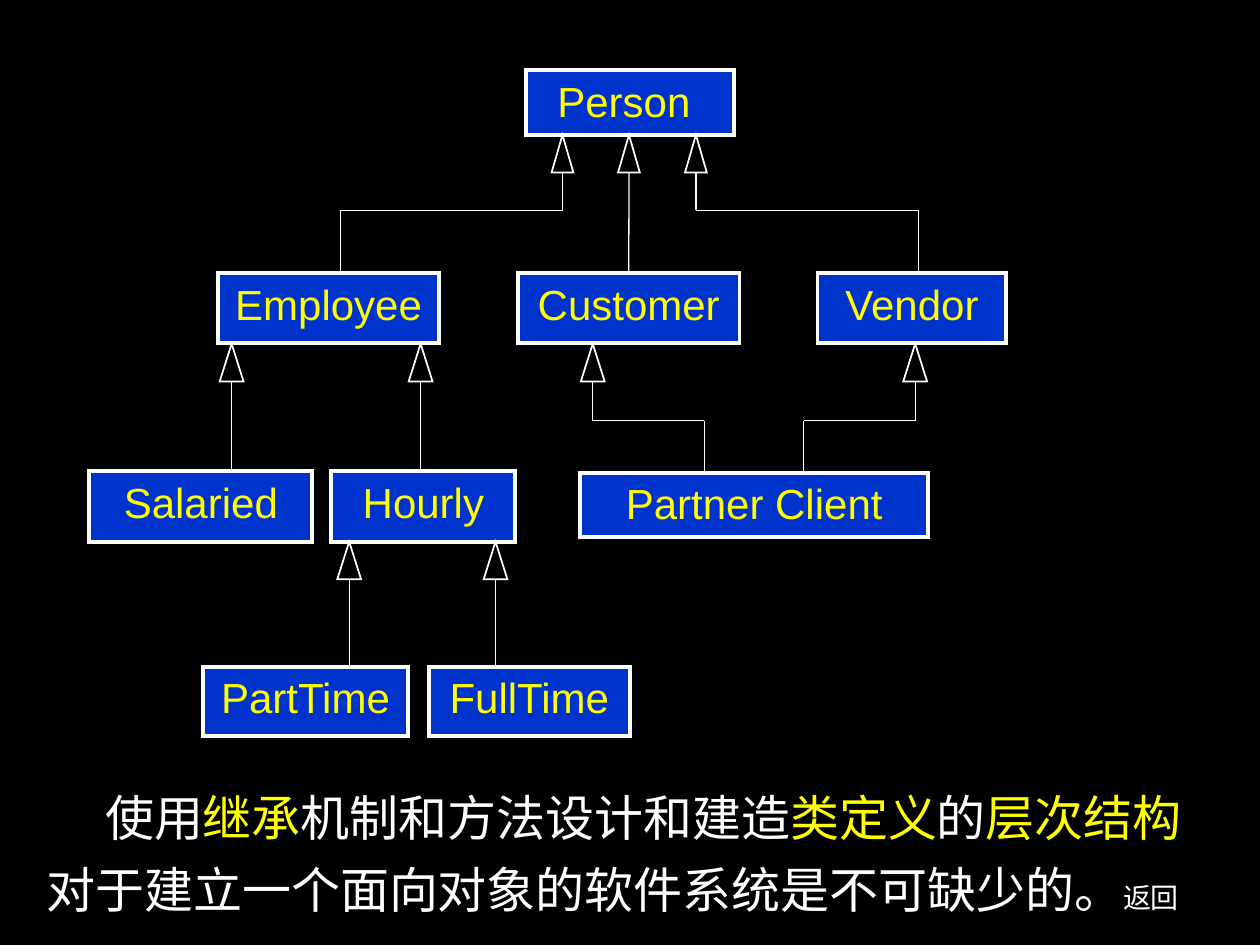
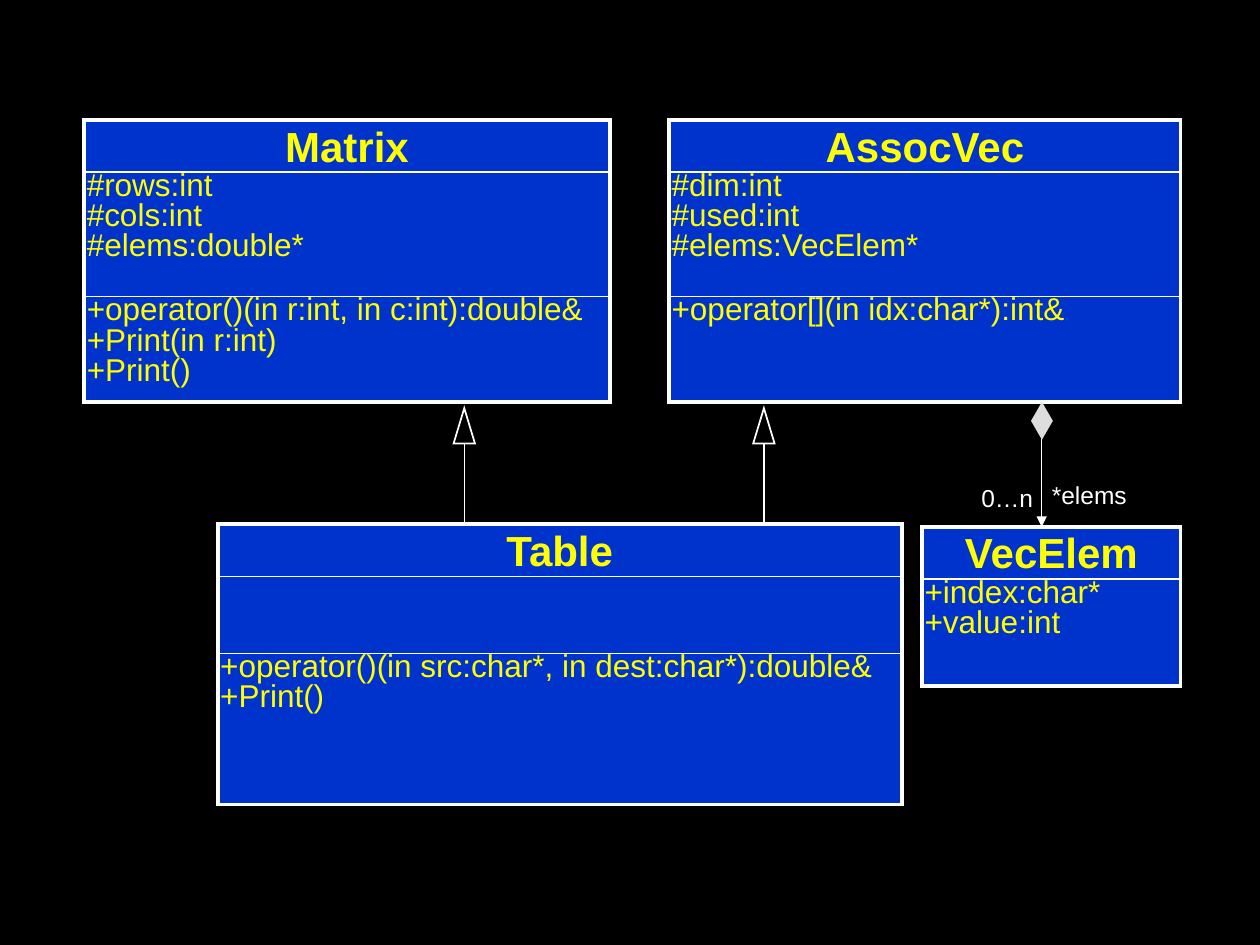
from itertools import cycle

from lxml.etree import SubElement
from pptx import Presentation
from pptx.dml.color import RGBColor as Rgb
from pptx.enum.shapes import MSO_CONNECTOR as Conn, MSO_SHAPE as Kind
from pptx.enum.text import MSO_ANCHOR as Anchor, PP_ALIGN as Align
from pptx.oxml.ns import qn
from pptx.util import Cm, Pt

HUES = {name: Rgb.from_string(code) for name, code in {
    "black": "000000", "white": "FFFFFF", "blue": "0033CC",
    "yellow": "FFFF00", "grey": "DDDDDD"}.items()}
FONT = "Arial"


def box(slide, at, *paras, kind=Kind.RECTANGLE, fill=None, edge="white", width=0.75,
        hues=("yellow",), size=24, bold=False, align=Align.CENTER, anchor=Anchor.TOP,
        pad=(0, 0), gap=None, wrap=True):
    """Add a shape, or a text box if kind is None; | in a paragraph moves to the next hue."""
    place = [Cm(n) for n in at]
    if kind is None:
        shape = slide.shapes.add_textbox(*place)
    else:
        shape = slide.shapes.add_shape(kind, *place)
        shape.shadow.inherit = False
        shape.line.color.rgb = HUES[edge]
        shape.line.width = Pt(width)
        SubElement(shape.element.spPr.find(qn("a:ln")), qn("a:miter"), lim="800000")
        if fill:
            shape.fill.solid()
            shape.fill.fore_color.rgb = HUES[fill]
        else:
            shape.fill.background()
    frame = shape.text_frame
    frame.word_wrap = wrap
    frame.vertical_anchor = anchor
    frame.margin_left = frame.margin_right = Cm(pad[0])
    frame.margin_top = frame.margin_bottom = Cm(pad[1])
    for i, text in enumerate(paras):
        para = frame.add_paragraph() if i else frame.paragraphs[0]
        para.alignment = align
        para.line_spacing = gap
        for part, hue in zip(text.split("|"), cycle(hues)):
            run = para.add_run()
            run.text = part
            run.font.name, run.font.size, run.font.bold = FONT, Pt(size), bold
            run.font.color.rgb = HUES[hue]
    return shape


def link(slide, start, end, head=False):
    line = slide.shapes.add_connector(Conn.STRAIGHT, *[Cm(n) for n in (*start, *end)])
    line.line.color.rgb = HUES["white"]
    line.line.width = Pt(0.75)
    props = line.element.spPr
    if head:
        SubElement(props.find(qn("a:ln")), qn("a:tailEnd"), type="triangle")
    SubElement(props, qn("a:effectLst"))
    return line


deck = Presentation()
deck.slide_width, deck.slide_height = Cm(25.4), Cm(19.05)
back = deck.slide_master.background.fill
back.solid()
back.fore_color.rgb = HUES["black"]
tree, uml = [deck.slides.add_slide(deck.slide_layouts[6]) for _ in range(2)]

# Caption under the class tree
note = box(tree, (0.69, 15.63, 24, 3), "使用|继承|机制和方法设计和建造|类定义|的|层次结构",
           "对于建立一个面向对象的软件系统是不可缺少的。|返回", kind=None,
           hues=("white", "yellow"), size=28, align=Align.JUSTIFY, pad=(0.25, 0.13), gap=1.1)
first, last = note.text_frame.paragraphs
first._p.get_or_add_pPr().set("indent", str(Cm(1.18)))
last.space_before = Pt(4)
back_run = last.runs[-1]
back_run.font.size = Pt(16)
back_run.font.color.rgb = HUES["white"]

# Class tree: name, left, top, width, height
nodes = {}
for name, *at in [
        ("Person ", 10.6, 1.42, 4.19, 1.3),
        ("Employee", 4.39, 5.51, 4.47, 1.4),
        ("Customer", 10.44, 5.51, 4.47, 1.4),
        ("Vendor", 16.48, 5.51, 3.81, 1.4),
        ("Salaried", 1.8, 9.5, 4.5, 1.42),
        ("Hourly", 6.68, 9.5, 3.71, 1.42),
        ("Partner Client", 11.7, 9.53, 7.01, 1.3),
        ("PartTime", 4.09, 13.44, 4.14, 1.4),
        ("FullTime", 8.64, 13.44, 4.06, 1.4)]:
    nodes[name] = box(tree, at, name, fill="blue", width=2.25, pad=(0, 0.1))

# Class boxes: left, top, width, name, then (height, members) of each part
HEAD = 1.05
for left, top, wide, name, *parts in [
        (1.7, 2.42, 10.59, "Matrix",
         (2.51, ["#rows:int", "#cols:int", "#elems:double*"]),
         (2.13, ["+operator()(in r:int, in c:int):double&", "+Print(in r:int)", "+Print()"])),
        (13.49, 2.42, 10.31, "AssocVec",
         (2.51, ["#dim:int", "#used:int", "#elems:VecElem*"]),
         (2.13, ["+operator[](in idx:char*):int&"])),
        (18.59, 10.62, 5.21, "VecElem", (2.16, ["+index:char*", "+value:int"])),
        (4.39, 10.57, 13.79, "Table", (1.55, []),
         (3.05, ["+operator()(in src:char*, in dest:char*):double&", "+Print()"]))]:
    box(uml, (left, top, wide, HEAD), name, fill="blue", bold=True, pad=(0.25, 0))
    low = top + HEAD
    for high, members in parts:
        box(uml, (left, low, wide, high), *members, fill="blue", size=18,
            align=Align.LEFT, pad=(0.05, 0), gap=0.8)
        low += high
    box(uml, (left, top, wide, low - top), width=2.25)

# Inheritance arrows: slide, tip x, tip y, triangle width, bend y, foot x, foot y, child
for slide, tip, top, wide, bend, foot, end, child in [
        (tree, 11.34, 2.72, 0.44, 4.24, 6.86, 5.51, None),
        (tree, 12.68, 2.72, 0.44, 4.24, 12.68, 5.51, "Customer"),
        (tree, 14.03, 2.72, 0.44, 4.24, 18.51, 5.51, None),
        (tree, 4.67, 6.93, 0.48, 8.48, 4.67, 9.5, None),
        (tree, 8.48, 6.93, 0.48, 8.48, 8.48, 9.5, None),
        (tree, 11.95, 6.93, 0.48, 8.48, 14.2, 9.53, None),
        (tree, 18.45, 6.93, 0.48, 8.48, 16.2, 9.53, None),
        (tree, 7.04, 10.92, 0.48, 12.43, 7.04, 13.44, None),
        (tree, 9.99, 10.92, 0.48, 12.43, 9.99, 13.44, None),
        (uml, 9.36, 8.23, 0.43, 9.5, 9.36, 10.57, None),
        (uml, 15.4, 8.23, 0.43, 9.5, 15.4, 10.57, None)]:
    high = 0.76 if slide is tree else 0.71
    box(slide, (tip - wide / 2, top, wide, high), kind=Kind.ISOSCELES_TRIANGLE, width=1)
    spots = [(tip, top + high), (foot, end)]
    if tip != foot:
        spots[1:1] = [(tip, bend), (foot, bend)]
    for start, stop in zip(spots, spots[1:]):
        line = link(slide, start, stop)
    if child:
        line.end_connect(nodes[child], 0)

# AssocVec holds VecElem objects
box(uml, (20.8, 8.13, 0.41, 0.71), kind=Kind.FLOWCHART_DECISION, fill="grey", edge="grey")
link(uml, (21, 8.84), (21, 10.62), head=True)
for text, *at in [("0…n", 19.71, 9.68, 1.19, 0.71), ("*elems", 21.11, 9.55, 1.7, 0.84)]:
    box(uml, at, text, kind=None, hues=("white",), size=14, anchor=Anchor.MIDDLE, wrap=False)

deck.save("out.pptx")
